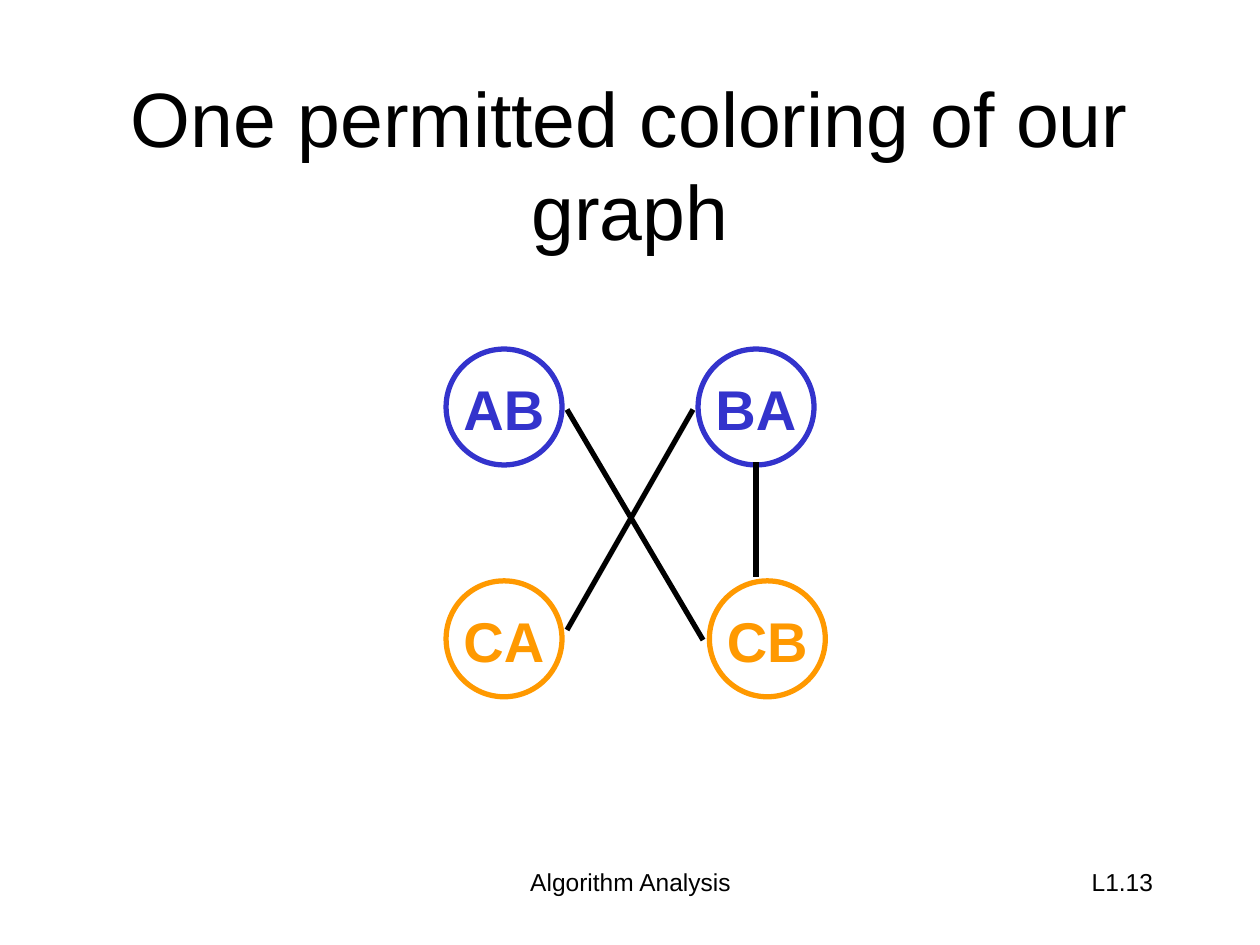
from pptx import Presentation
from pptx.dml.color import RGBColor as RGB
from pptx.enum.shapes import MSO_CONNECTOR as Connector, MSO_SHAPE as Shape
from pptx.enum.text import MSO_ANCHOR as Anchor, PP_ALIGN as Align
from pptx.oxml.ns import qn
from pptx.util import Inches, Pt
from lxml.etree import SubElement

THEME = {
    "font": "Arial",
    "ink": RGB(0x00, 0x00, 0x00),
    "paper": RGB(0xFF, 0xFF, 0xFF),
    "blue": RGB(0x33, 0x33, 0xCC),
    "orange": RGB(0xFF, 0x99, 0x00),
    "title": 44,
    "vertex": 32,
    "footer": 14,
    "stroke": 3,
}

# Content: (text, box, size, alignment, anchor)
TEXTS = [
    ("Algorithm Analysis", (3.42, 6.83, 3.17, 0.5), "footer", Align.CENTER, Anchor.TOP),
    ("L1.13", (7.17, 6.83, 2.08, 0.5), "footer", Align.RIGHT, Anchor.TOP),
    ("One permitted coloring of our graph", (0.75, 0.67, 8.5, 1.25),
     "title", Align.CENTER, Anchor.MIDDLE),
]
# (label, left, top, color)
VERTICES = [
    ("AB", 3.54, 2.77, "blue"),
    ("BA", 5.54, 2.77, "blue"),
    ("CA", 3.54, 4.61, "orange"),
    ("CB", 5.63, 4.61, "orange"),
]
# (start, end)
EDGES = [
    ((4.5, 3.25), (5.58, 5.08)),  # AB to CB
    ((6, 3.67), (6, 4.58)),       # BA to CB
    ((4.5, 5), (5.5, 3.25)),      # CA to BA
]
DIAMETER = 0.92
LABEL_INSET = (0.04, 0.15)
LABEL_SIZE = (0.87, 0.64)


def add_text(slide, text, box, size, align, anchor, color="ink", bold=False):
    frame = slide.shapes.add_textbox(*map(Inches, box)).text_frame
    frame.word_wrap = True
    frame.vertical_anchor = anchor
    line = frame.paragraphs[0]
    line.text = text
    line.alignment = align
    line.font.name = THEME["font"]
    line.font.size = Pt(THEME[size])
    line.font.bold = bold
    line.font.color.rgb = THEME[color]


def add_vertex(slide, label, left, top, color):
    circle = slide.shapes.add_shape(
        Shape.OVAL, *map(Inches, (left, top, DIAMETER, DIAMETER)))
    circle.shadow.inherit = False
    circle.fill.solid()
    circle.fill.fore_color.rgb = THEME["paper"]
    circle.line.color.rgb = THEME[color]
    circle.line.width = Pt(THEME["stroke"])
    box = (left + LABEL_INSET[0], top + LABEL_INSET[1], *LABEL_SIZE)
    add_text(slide, label, box, "vertex", Align.LEFT, Anchor.MIDDLE, color, True)


def add_edge(slide, start, end):
    edge = slide.shapes.add_connector(
        Connector.STRAIGHT, *map(Inches, (*start, *end)))
    edge.line.color.rgb = THEME["ink"]
    edge.line.width = Pt(THEME["stroke"])
    SubElement(edge._element.spPr, qn("a:effectLst"))


def main():
    deck = Presentation()
    deck.slide_width, deck.slide_height = Inches(10), Inches(7.5)
    slide = deck.slides.add_slide(deck.slide_layouts[6])

    # Title and footer
    for text in TEXTS:
        add_text(slide, *text)

    # Colored graph
    for vertex in VERTICES:
        add_vertex(slide, *vertex)
    for edge in EDGES:
        add_edge(slide, *edge)

    deck.save("out.pptx")


if __name__ == "__main__":
    main()
